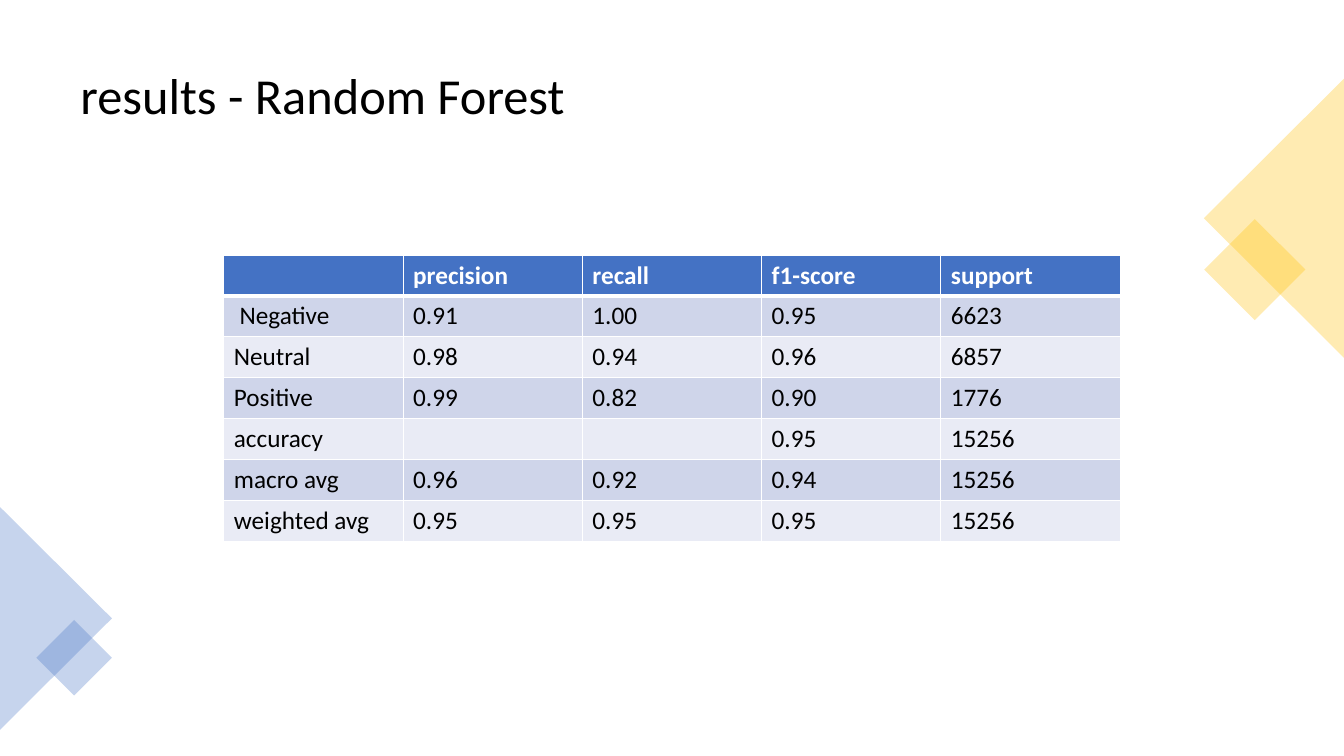
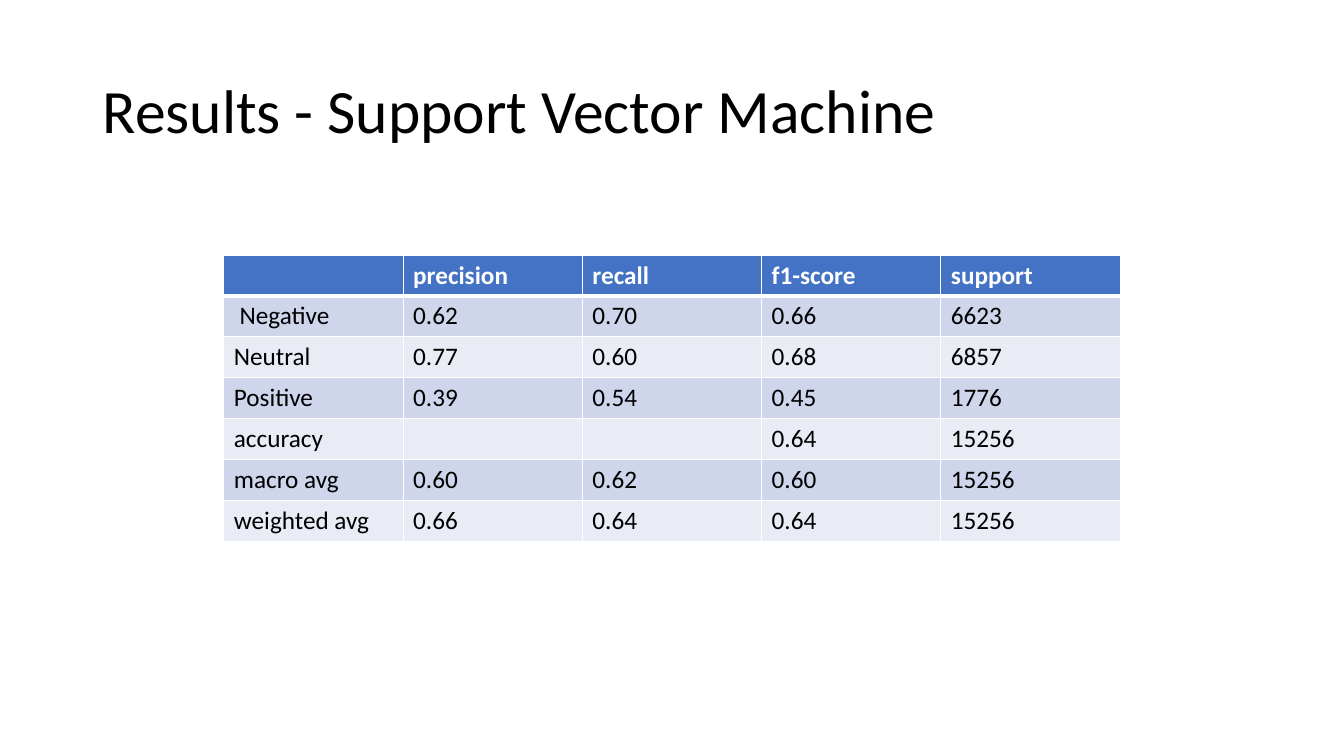
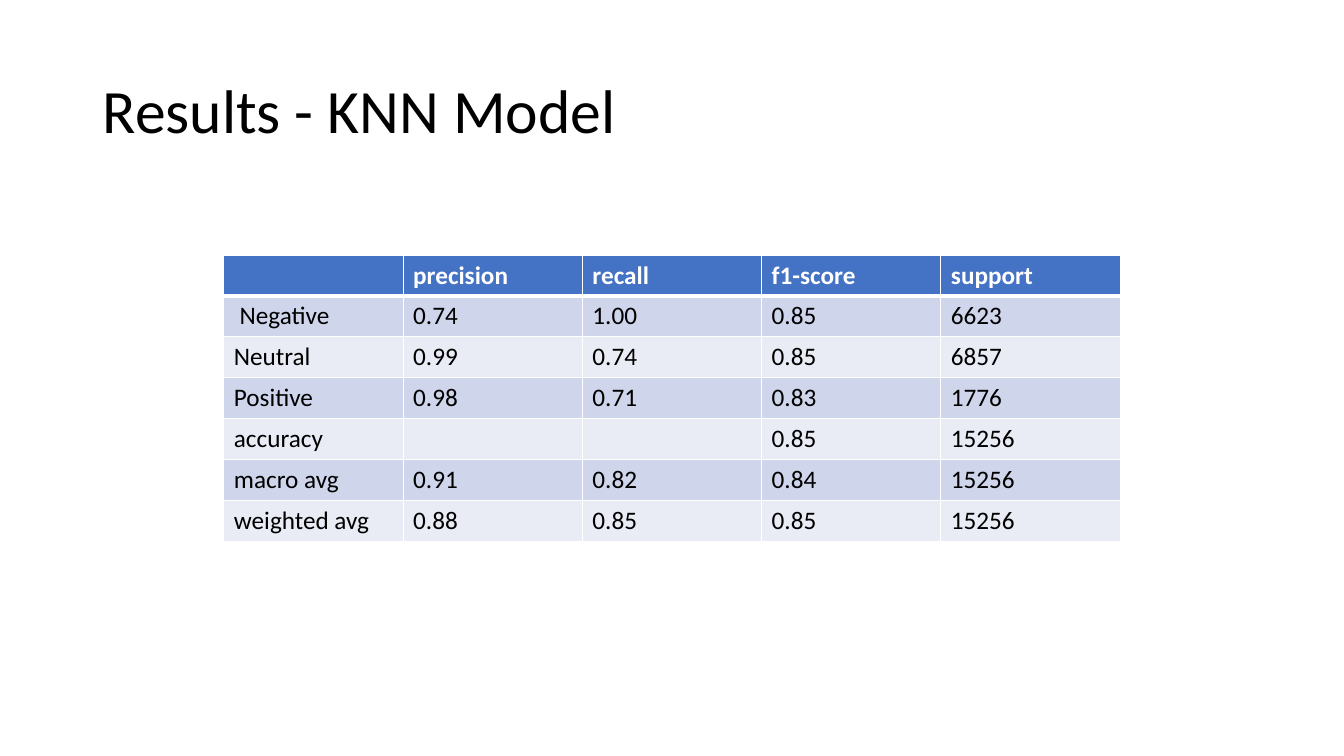
from lxml.etree import SubElement
from pptx import Presentation
from pptx.dml.color import RGBColor
from pptx.enum.shapes import MSO_SHAPE
from pptx.enum.text import MSO_ANCHOR
from pptx.oxml import parse_xml
from pptx.oxml.ns import nsdecls, qn
from pptx.util import Inches, Pt

FONT = "Calibri"
BLACK = RGBColor(0x00, 0x00, 0x00)
WHITE = RGBColor(0xFF, 0xFF, 0xFF)
BLUE = RGBColor(0x44, 0x72, 0xC4)
GOLD = RGBColor(0xFF, 0xC0, 0x00)
BANDS = (RGBColor(0xCF, 0xD5, 0xEA), RGBColor(0xE9, 0xEB, 0xF5))

HEAD = ("", "precision", "recall", "f1-score", "support")
NAMES = (" Negative", "Neutral", "Positive", "accuracy", "macro avg", "weighted avg")
COUNTS = ("6623", "6857", "1776", "15256", "15256", "15256")

FOREST = (
    ("0.91", "1.00", "0.95"),
    ("0.98", "0.94", "0.96"),
    ("0.99", "0.82", "0.90"),
    ("", "", "0.95"),
    ("0.96", "0.92", "0.94"),
    ("0.95", "0.95", "0.95"),
)
VECTOR = (
    ("0.62", "0.70", "0.66"),
    ("0.77", "0.60", "0.68"),
    ("0.39", "0.54", "0.45"),
    ("", "", "0.64"),
    ("0.60", "0.62", "0.60"),
    ("0.66", "0.64", "0.64"),
)
NEIGHBOR = (
    ("0.74", "1.00", "0.85"),
    ("0.99", "0.74", "0.85"),
    ("0.98", "0.71", "0.83"),
    ("", "", "0.85"),
    ("0.91", "0.82", "0.84"),
    ("0.88", "0.85", "0.85"),
)


class Deck:
    """Hold the shared style and the current slide."""

    def __init__(self):
        self.show = Presentation()
        self.show.slide_width = Inches(13.33)
        self.show.slide_height = Inches(7.5)
        self.slide = None

    def page(self):
        self.slide = self.show.slides.add_slide(self.show.slide_layouts[6])

    def label(self, para, text, size, color, bold=False):
        run = para.add_run()
        run.text = text
        font = run.font
        font.name, font.size, font.bold = FONT, Pt(size), bold
        font.color.rgb = color

    def title(self, text, box=(0.92, 0.4, 11.5, 1.45), size=44):
        frame = self.slide.shapes.add_textbox(*map(Inches, box)).text_frame
        frame.word_wrap = True
        frame.vertical_anchor = MSO_ANCHOR.MIDDLE
        para = frame.paragraphs[0]
        para.line_spacing = 0.9
        self.label(para, text, size, BLACK)

    def accent(self, kind, box, turn, color):
        shape = self.slide.shapes.add_shape(kind, *map(Inches, box))
        shape.rotation = turn
        shape.shadow.inherit = False
        shape.line.fill.background()
        shape.fill.solid()
        shape.fill.fore_color.rgb = color
        tint = shape.element.spPr.find(".//" + qn("a:srgbClr"))
        SubElement(tint, qn("a:alpha"), val="30000")

    def border(self, cell, top, bottom):
        props = cell._tc.get_or_add_tcPr()
        sides = {"lnL": 1, "lnR": 1, "lnT": top, "lnB": bottom}
        for spot, (side, width) in enumerate(sides.items()):
            props.insert(spot, parse_xml(
                f'<a:{side} {nsdecls("a")} w="{int(Pt(width))}"><a:solidFill>'
                f'<a:srgbClr val="{WHITE}"/></a:solidFill></a:{side}>'))

    def table(self, scores):
        rows = [HEAD]
        rows += [(name, *vals, count) for name, vals, count in zip(NAMES, scores, COUNTS)]
        box = map(Inches, (2.22, 2.53, 8.89, 2.84))
        grid = self.slide.shapes.add_table(len(rows), len(HEAD), *box).table
        grid.first_row = grid.horz_banding = False
        for r, row in enumerate(rows):
            head = r == 0
            for c, text in enumerate(row):
                cell = grid.cell(r, c)
                cell.fill.solid()
                cell.fill.fore_color.rgb = BLUE if head else BANDS[(r - 1) % 2]
                self.border(cell, 3 if r == 1 else 1, 3 if head else 1)
                if text:
                    para = cell.text_frame.paragraphs[0]
                    self.label(para, text, 18, WHITE if head else BLACK, head)


def main():
    deck = Deck()

    deck.page()
    deck.title("results - Random Forest", (0.7, 0.35, 11.93, 1.24), 36)
    deck.accent(MSO_SHAPE.RECTANGLE, (12.09, 2.32, 0.71, 0.71), 45, GOLD)
    deck.accent(MSO_SHAPE.ISOSCELES_TRIANGLE, (11.25, 1.47, 2.77, 1.39), 270, GOLD)
    deck.accent(MSO_SHAPE.ISOSCELES_TRIANGLE, (-0.55, 5.58, 2.21, 1.11), 90, BLUE)
    deck.accent(MSO_SHAPE.RECTANGLE, (0.47, 6.26, 0.53, 0.53), 45, BLUE)
    deck.table(FOREST)

    for name, scores in (("Support Vector Machine", VECTOR), ("KNN Model", NEIGHBOR)):
        deck.page()
        deck.title(f"Results - {name}")
        deck.table(scores)

    deck.show.save("out.pptx")


if __name__ == "__main__":
    main()
